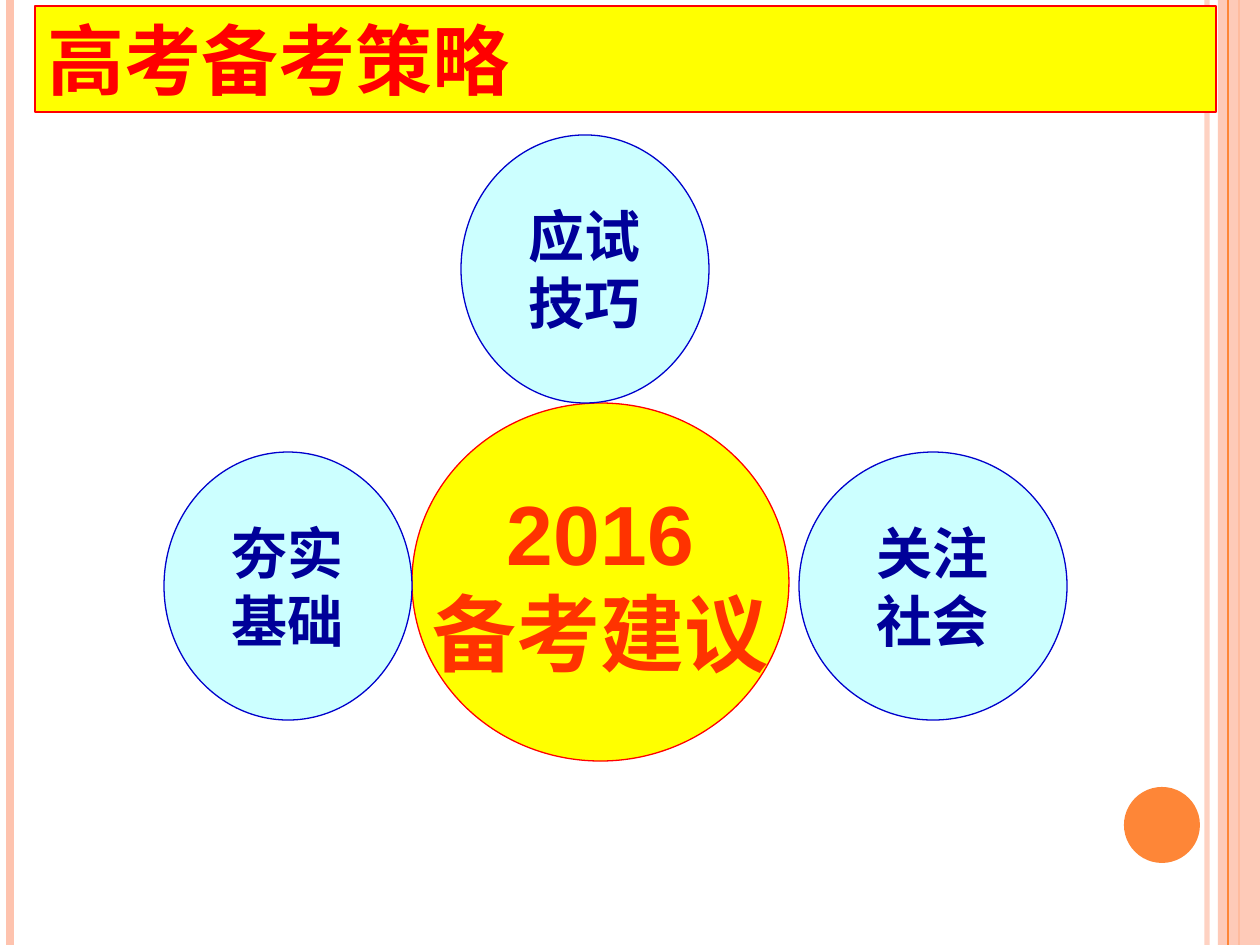
from dataclasses import dataclass

from lxml.etree import SubElement
from pptx import Presentation
from pptx.dml.color import RGBColor
from pptx.enum.shapes import MSO_CONNECTOR, MSO_SHAPE
from pptx.enum.text import MSO_ANCHOR, MSO_AUTO_SIZE, PP_ALIGN
from pptx.oxml.ns import qn
from pptx.util import Emu, Pt

PX = 914400 / 126
WIDTH, HEIGHT = 1260, 945


@dataclass(frozen=True)
class Theme:
    font: str = "Arial"
    yellow: str = "FFFF00"
    red: str = "FF0000"
    core_text: str = "FF3300"
    topic_fill: str = "CCFFFF"
    topic_line: str = "0000CC"
    topic_text: str = "000099"
    peach: str = "FEC3AE"
    orange: str = "FE8637"
    title_size: int = 44
    core_size: int = 48
    topic_size: int = 32
    outline: float = 0.75


class SlideBuilder:
    def __init__(self, slide, theme):
        self.slide = slide
        self.theme = theme

    def box(self, *lengths):
        return [Emu(round(length * PX)) for length in lengths]

    def set_alpha(self, fill, percent):
        color = fill._xPr.find(qn("a:solidFill"))[0]
        SubElement(color, qn("a:alpha"), val=str(percent * 1000))

    def paint(self, shape, fill, line=None):
        shape.fill.solid()
        shape.fill.fore_color.rgb = RGBColor.from_string(fill)
        if line:
            shape.line.color.rgb = RGBColor.from_string(line)
            shape.line.width = Pt(self.theme.outline)
        else:
            shape.line.fill.background()

    def set_text(self, shape, lines, size, color, align):
        frame = shape.text_frame
        frame.text = "\n".join(lines)
        for paragraph in frame.paragraphs:
            paragraph.alignment = align
            font = paragraph.font
            font.name, font.size, font.bold = self.theme.font, Pt(size), True
            font.color.rgb = RGBColor.from_string(color)
        return frame

    def stripe(self, x, color, width, alpha=None):
        line = self.slide.shapes.add_connector(
            MSO_CONNECTOR.STRAIGHT, *self.box(x, 0, x, HEIGHT))
        line.line.color.rgb = RGBColor.from_string(color)
        line.line.width = Pt(width)
        if alpha:
            self.set_alpha(line.line.fill, alpha)
        SubElement(line._element.spPr, qn("a:effectLst"))

    def shape(self, kind, box, fill, line=None, alpha=None):
        shape = self.slide.shapes.add_shape(kind, *self.box(*box))
        shape.shadow.inherit = False
        self.paint(shape, fill, line)
        if alpha:
            self.set_alpha(shape.fill, alpha)
        return shape

    def circle(self, box, lines, fill, line, size, color):
        shape = self.shape(MSO_SHAPE.OVAL, box, fill, line)
        frame = self.set_text(shape, lines, size, color, PP_ALIGN.CENTER)
        frame.word_wrap = False
        frame.vertical_anchor = MSO_ANCHOR.MIDDLE

    def title(self, box, text):
        theme = self.theme
        title = self.slide.shapes.title
        title.left, title.top, title.width, title.height = self.box(*box)
        self.paint(title, theme.yellow, theme.red)
        frame = self.set_text(title, [text], theme.title_size, theme.red, PP_ALIGN.LEFT)
        frame.word_wrap = True
        frame.auto_size = MSO_AUTO_SIZE.NONE
        frame.vertical_anchor = MSO_ANCHOR.TOP
        # The banner lies over the side stripes
        self.slide.shapes._spTree.append(title._element)


def main():
    theme = Theme()
    presentation = Presentation()
    presentation.slide_width = Emu(round(WIDTH * PX))
    presentation.slide_height = Emu(round(HEIGHT * PX))
    slide = presentation.slides.add_slide(presentation.slide_layouts[5])
    builder = SlideBuilder(slide, theme)

    # Side decoration
    builder.stripe(1207, theme.peach, 3, alpha=75)
    builder.stripe(10, theme.peach, 4.5)
    builder.stripe(1239, theme.orange, 1.5)
    builder.shape(MSO_SHAPE.RECTANGLE, (1218, 0, 42, HEIGHT), theme.peach, alpha=87)
    builder.stripe(1228, theme.orange, 0.75)
    builder.shape(MSO_SHAPE.OVAL, (1124, 787, 76, 76), theme.orange)

    # Central advice and the topics around it
    builder.circle((412, 403, 377, 358), ["2016", "备考建议"],
                   theme.yellow, theme.red, theme.core_size, theme.core_text)
    topics = [
        ((799, 452, 268, 268), ["关注", "社会"]),
        ((461, 135, 248, 268), ["应试", "技巧"]),
        ((164, 452, 248, 268), ["夯实", "基础"]),
    ]
    for box, lines in topics:
        builder.circle(box, lines, theme.topic_fill, theme.topic_line,
                       theme.topic_size, theme.topic_text)

    # Title banner
    builder.title((35, 6, 1181, 106), "高考备考策略")

    presentation.save("out.pptx")


if __name__ == "__main__":
    main()
